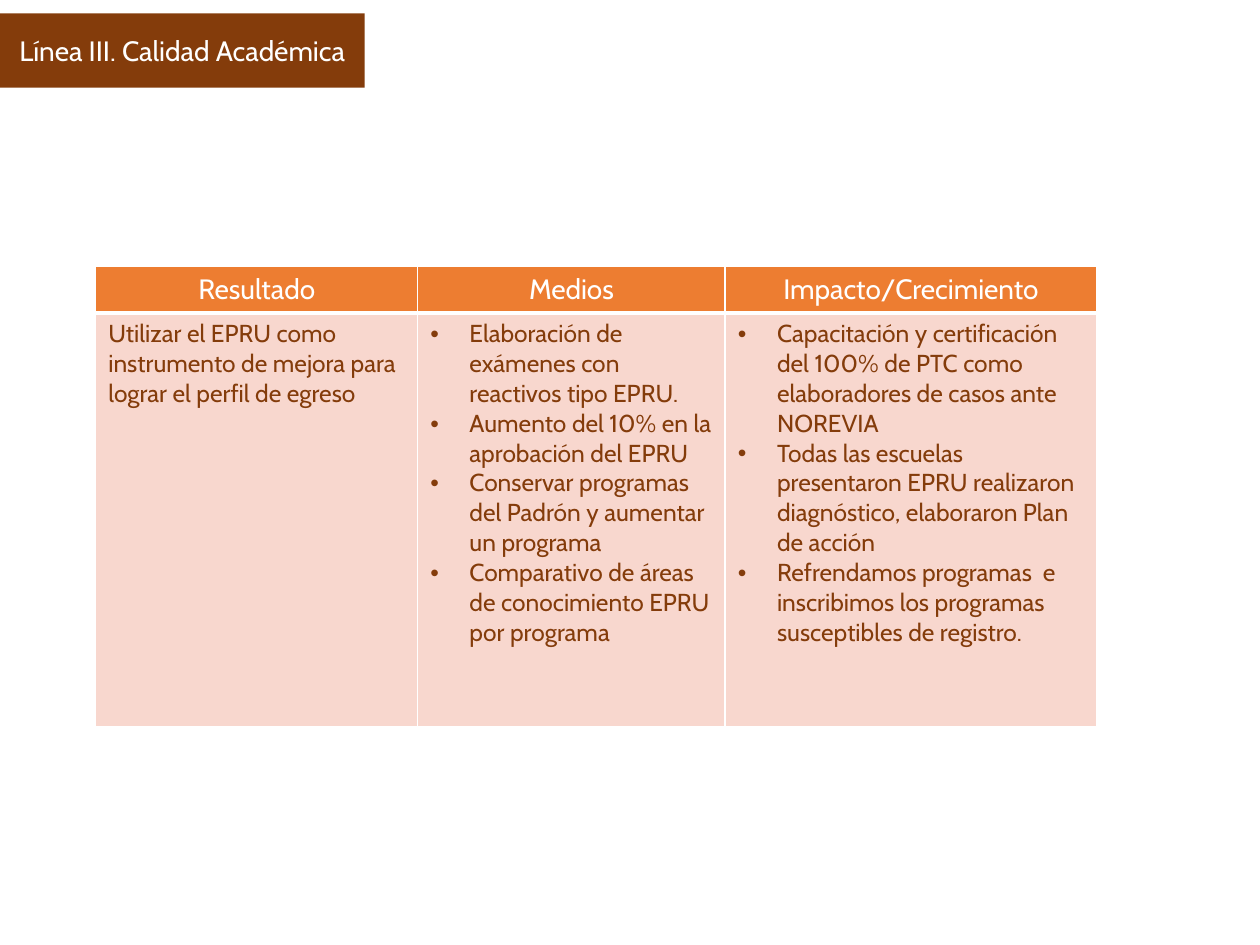
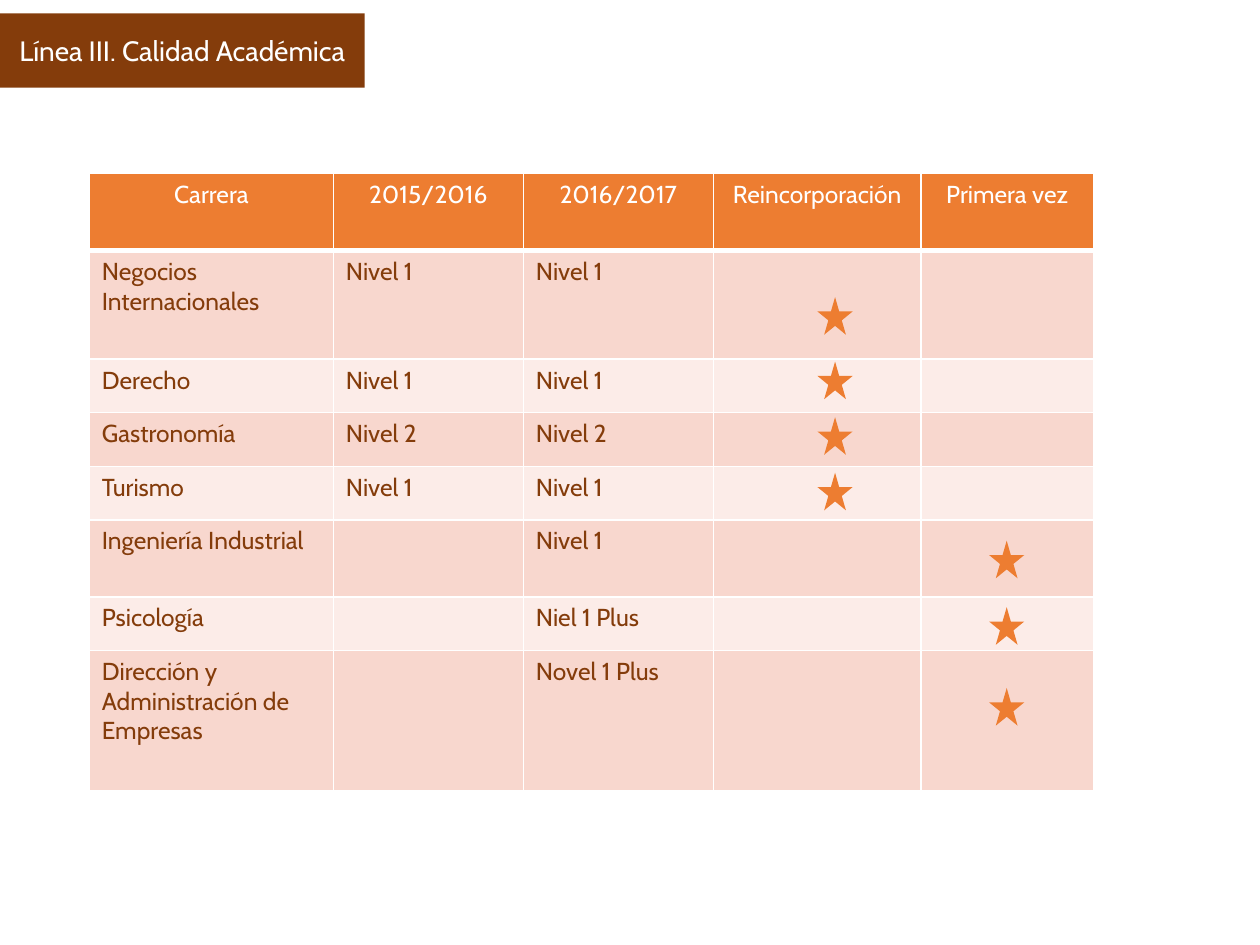
from lxml.etree import SubElement
from pptx import Presentation
from pptx.dml.color import RGBColor
from pptx.enum.shapes import MSO_SHAPE
from pptx.enum.text import MSO_ANCHOR, PP_ALIGN
from pptx.oxml import parse_xml
from pptx.oxml.ns import nsdecls, qn
from pptx.util import Cm, Pt

# Shared look
FONT = "Cabin"
BROWN = "843C0B"
ORANGE = "ED7D31"
WHITE = "FFFFFF"
BANDS = ("F8D7CE", "FCECE8")
SECTION = "Línea III. Calidad Académica"
BULLET_INDENT = Cm(0.79)

# Content: a list in a cell becomes bullets
RESULTS = [
    ["Resultado", "Medios", "Impacto/Crecimiento"],
    [
        "Utilizar el EPRU como instrumento de mejora para lograr el perfil de egreso",
        [
            "Elaboración de exámenes con reactivos tipo EPRU.",
            "Aumento del 10% en la aprobación del EPRU",
            "Conservar programas del Padrón y aumentar un programa",
            "Comparativo de áreas de conocimiento EPRU por programa",
        ],
        [
            "Capacitación y certificación del 100% de PTC como elaboradores de casos ante NOREVIA",
            "Todas las escuelas presentaron EPRU realizaron diagnóstico, elaboraron Plan de acción",
            "Refrendamos programas  e inscribimos los programas susceptibles de registro.",
        ],
    ],
]
PROGRAMS = [
    ["Carrera", "2015/2016", "2016/2017", "Reincorporación", "Primera vez"],
    ["Negocios Internacionales", "Nivel 1", "Nivel 1", "", ""],
    ["Derecho", "Nivel 1", "Nivel 1", "", ""],
    ["Gastronomía", "Nivel 2", "Nivel 2", "", ""],
    ["Turismo", "Nivel 1", "Nivel 1", "", ""],
    ["Ingeniería Industrial", "", "Nivel 1", "", ""],
    ["Psicología", "", "Niel 1 Plus", "", ""],
    ["Dirección y Administración de Empresas", "", "Novel 1 Plus", "", ""],
]
# Star column: left edge and top edges, in centimetres
STARS = {16.48: (5.99, 7.29, 8.41, 9.53), 19.94: (10.9, 12.24, 13.87)}


def color(hex_string):
    return RGBColor.from_string(hex_string)


def style_paragraph(paragraph, size, hex_string, alignment=PP_ALIGN.LEFT):
    paragraph.alignment = alignment
    for run in paragraph.runs:
        run.font.name = FONT
        run.font.size = Pt(size)
        run.font.bold = False
        run.font.color.rgb = color(hex_string)


def add_filled_shape(slide, kind, left, top, width, height, fill):
    shape = slide.shapes.add_shape(kind, Cm(left), Cm(top), Cm(width), Cm(height))
    shape.shadow.inherit = False
    shape.fill.solid()
    shape.fill.fore_color.rgb = color(fill)
    shape.line.fill.background()
    return shape


def add_section_band(slide):
    band = add_filled_shape(slide, MSO_SHAPE.RECTANGLE, 0, 0.27, 7.35, 1.5, BROWN)
    text_frame = band.text_frame
    text_frame.word_wrap = True
    text_frame.vertical_anchor = MSO_ANCHOR.MIDDLE
    text_frame.text = SECTION
    style_paragraph(text_frame.paragraphs[0], 16, WHITE, PP_ALIGN.CENTER)


def add_bullet(paragraph):
    properties = paragraph._p.get_or_add_pPr()
    properties.set("marL", str(BULLET_INDENT))
    properties.set("indent", str(-BULLET_INDENT))
    SubElement(properties, qn("a:buFont")).set("typeface", "Arial")
    SubElement(properties, qn("a:buChar")).set("char", "•")


def set_borders(cell, bottom):
    properties = cell._tc.get_or_add_tcPr()
    widths = {"lnL": 1, "lnR": 1, "lnT": 1, "lnB": bottom}
    for index, (side, width) in enumerate(widths.items()):
        line = parse_xml(
            f'<a:{side} {nsdecls("a")} w="{Pt(width)}"><a:solidFill>'
            f'<a:srgbClr val="{WHITE}"/></a:solidFill></a:{side}>'
        )
        properties.insert(index, line)


def fill_cell(cell, content, is_header, fill, size):
    cell.fill.solid()
    cell.fill.fore_color.rgb = color(fill)
    set_borders(cell, bottom=3 if is_header else 1)
    bulleted = isinstance(content, list)
    cell.text_frame.text = "\n".join(content) if bulleted else content
    for paragraph in cell.text_frame.paragraphs:
        if bulleted:
            add_bullet(paragraph)
        if is_header:
            style_paragraph(paragraph, size, WHITE, PP_ALIGN.CENTER)
        else:
            style_paragraph(paragraph, size, BROWN)


def add_banded_table(slide, rows, left, top, widths, heights, header_size):
    table = slide.shapes.add_table(
        len(rows), len(widths), Cm(left), Cm(top), Cm(sum(widths)), Cm(sum(heights))
    ).table
    for column, width in zip(table.columns, widths):
        column.width = Cm(width)
    for row, height in zip(table.rows, heights):
        row.height = Cm(height)
    for row_index, row in enumerate(rows):
        is_header = row_index == 0
        fill = ORANGE if is_header else BANDS[(row_index - 1) % 2]
        size = header_size if is_header else 14
        for column_index, content in enumerate(row):
            fill_cell(table.cell(row_index, column_index), content, is_header, fill, size)


def add_stars(slide):
    for left, tops in STARS.items():
        for top in tops:
            add_filled_shape(slide, MSO_SHAPE.STAR_5_POINT, left, top, 0.71, 0.76, ORANGE)


def add_section_slide(presentation):
    slide = presentation.slides.add_slide(presentation.slide_layouts[6])
    add_section_band(slide)
    return slide


def main():
    presentation = Presentation()
    presentation.slide_width = Cm(25.4)
    presentation.slide_height = Cm(19.05)

    # Results, means and impact
    slide = add_section_slide(presentation)
    add_banded_table(slide, RESULTS, 1.93, 5.37, (6.49, 6.2, 7.49), (0.91, 8.34), 16)

    # Level of each degree programme
    slide = add_section_slide(presentation)
    add_banded_table(
        slide, PROGRAMS, 1.8, 3.5, (4.92, 3.83, 3.83, 4.19, 3.47),
        (1.55, 2.19, 1.08, 1.08, 1.08, 1.55, 1.08, 2.83), 14,
    )
    add_stars(slide)

    presentation.save("out.pptx")


if __name__ == "__main__":
    main()
